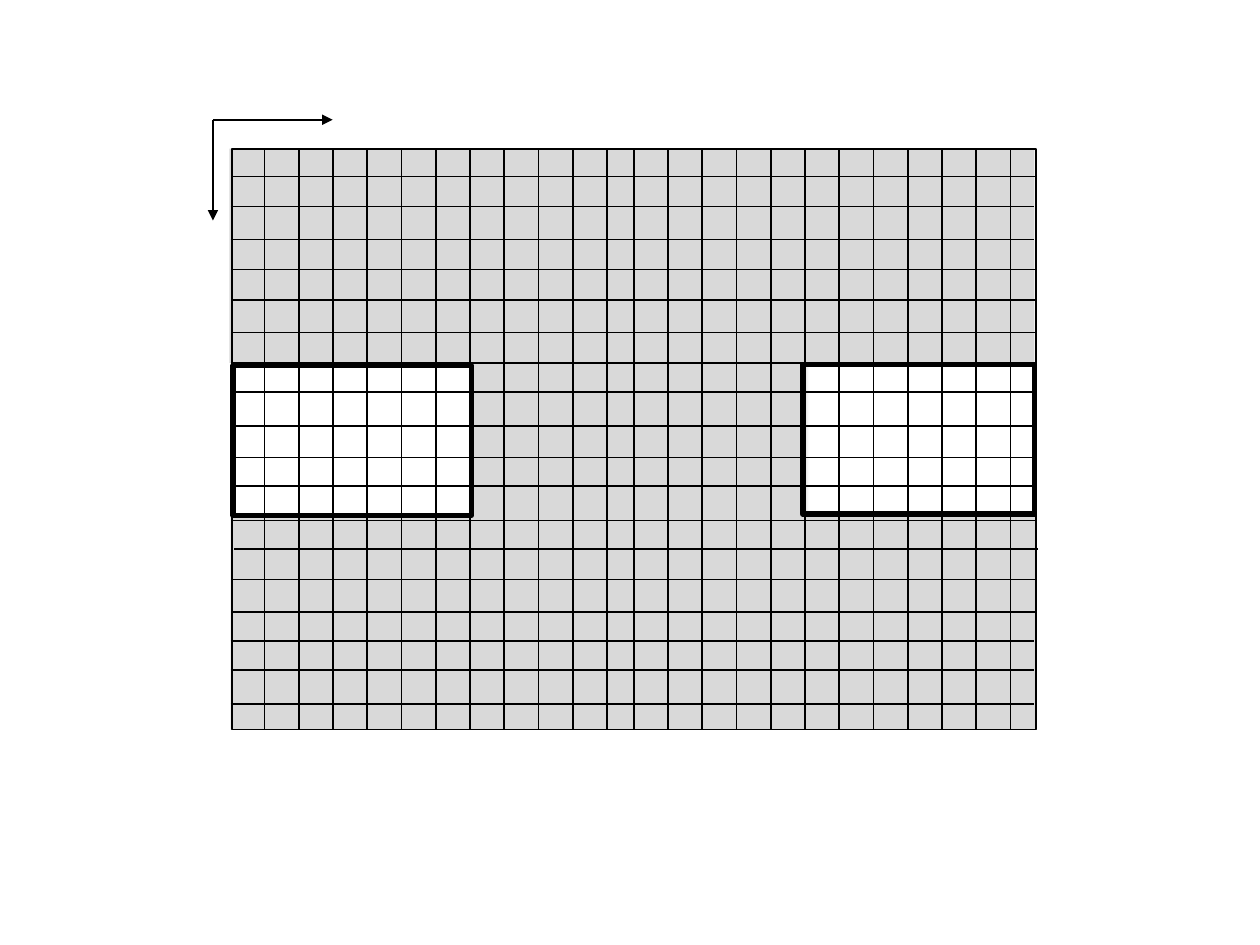
from dataclasses import dataclass
from typing import Optional

from lxml import etree
from pptx import Presentation
from pptx.dml.color import RGBColor
from pptx.enum.shapes import MSO_CONNECTOR, MSO_SHAPE
from pptx.oxml.ns import qn
from pptx.util import Inches, Pt

RECTANGLE = MSO_SHAPE.RECTANGLE
STRAIGHT = MSO_CONNECTOR.STRAIGHT
BLANK_LAYOUT = 6


@dataclass(frozen=True)
class Theme:
    ink: RGBColor = RGBColor(0x00, 0x00, 0x00)
    shade: RGBColor = RGBColor(0xD9, 0xD9, 0xD9)
    thin: float = 1
    thick: float = 3


@dataclass(frozen=True)
class Block:
    left: float
    top: float
    width: float
    height: float
    fill: Optional[RGBColor] = None
    line_width: Optional[float] = None


@dataclass(frozen=True)
class Row:
    y: float
    left: float


THEME = Theme()

# Shaded area: a middle block between two wide bands
MIDDLE = Block(3.75, 2.76, 2.63, 1.7, fill=THEME.shade)
BANDS = [
    Block(1.83, 4.09, 6.39, 1.7, fill=THEME.shade),
    Block(1.82, 1.18, 6.39, 1.7, fill=THEME.shade),
]
FRAME = Block(1.84, 1.18, 6.38, 4.61, line_width=THEME.thin)
WINDOWS = [
    Block(6.37, 2.89, 1.84, 1.19, line_width=THEME.thick),
    Block(1.85, 2.9, 1.89, 1.19, line_width=THEME.thick),
]

# Columns run at one pitch on either side of a narrower centre column
LEFT_START, RIGHT_START = 2.1, 5.03
LEFT_COUNT, RIGHT_COUNT = 11, 12
COLUMN_PITCH = 2.99 / (RIGHT_COUNT - 1)

ROWS = [
    Row(1.4, 1.84), Row(1.64, 1.83), Row(1.9, 1.83), Row(2.14, 1.84),
    Row(2.38, 1.84), Row(2.64, 1.84), Row(2.88, 1.83), Row(3.11, 1.83),
    Row(3.38, 1.83), Row(3.63, 1.84), Row(3.86, 1.84), Row(4.13, 1.84),
    Row(4.36, 1.86), Row(4.6, 1.85), Row(4.86, 1.85), Row(5.09, 1.83),
    Row(5.32, 1.83), Row(5.59, 1.83),
]

AXIS_X, AXIS_Y = 1.69, 0.95
AXIS_ENDS = [(2.64, AXIS_Y), (AXIS_X, 1.75)]


def draw_block(page, block: Block):
    """Draw a rectangle with an optional fill and outline."""
    box = page.shapes.add_shape(
        RECTANGLE, Inches(block.left), Inches(block.top),
        Inches(block.width), Inches(block.height))
    box.shadow.inherit = False
    if block.fill is None:
        box.fill.background()
    else:
        box.fill.solid()
        box.fill.fore_color.rgb = block.fill
    if block.line_width is None:
        box.line.fill.background()
    else:
        box.line.color.rgb = THEME.ink
        box.line.width = Pt(block.line_width)
    return box


def add_soft_shadow(box) -> None:
    """Cast a faint shadow straight down."""
    effects = box._element.spPr.find(qn("a:effectLst"))
    shadow = etree.SubElement(
        effects, qn("a:outerShdw"), blurRad=str(Pt(3.1)),
        dist=str(Pt(1.8)), dir="5400000", rotWithShape="0")
    color = etree.SubElement(shadow, qn("a:srgbClr"), val=str(THEME.ink))
    etree.SubElement(color, qn("a:alpha"), val="35000")


def draw_line(page, x1: float, y1: float, x2: float, y2: float,
              arrow: bool = False) -> None:
    """Draw a thin line, with an arrowhead at its end if asked."""
    line = page.shapes.add_connector(
        STRAIGHT, Inches(x1), Inches(y1), Inches(x2), Inches(y2))
    line.line.color.rgb = THEME.ink
    line.line.width = Pt(THEME.thin)
    properties = line._element.spPr
    if arrow:
        etree.SubElement(properties.find(qn("a:ln")), qn("a:tailEnd"),
                         type="triangle")
    etree.SubElement(properties, qn("a:effectLst"))


def draw_grid(page) -> None:
    """Draw the frame, then its columns and rows."""
    draw_block(page, FRAME)
    for start, count in ((RIGHT_START, RIGHT_COUNT), (LEFT_START, LEFT_COUNT)):
        for index in range(count):
            x = start + index * COLUMN_PITCH
            draw_line(page, x, FRAME.top, x, FRAME.top + FRAME.height)
    for row in ROWS:
        draw_line(page, row.left, row.y, row.left + FRAME.width, row.y)


def main() -> None:
    deck = Presentation()
    deck.slide_width, deck.slide_height = Inches(10), Inches(7.5)
    page = deck.slides.add_slide(deck.slide_layouts[BLANK_LAYOUT])

    # Shaded area
    add_soft_shadow(draw_block(page, MIDDLE))
    for band in BANDS:
        draw_block(page, band)

    draw_grid(page)

    # Axis arrows from the shared corner
    for end_x, end_y in AXIS_ENDS:
        draw_line(page, AXIS_X, AXIS_Y, end_x, end_y, arrow=True)

    # Heavy outlines around the unshaded windows
    for window in WINDOWS:
        draw_block(page, window)

    deck.save("out.pptx")


if __name__ == "__main__":
    main()
